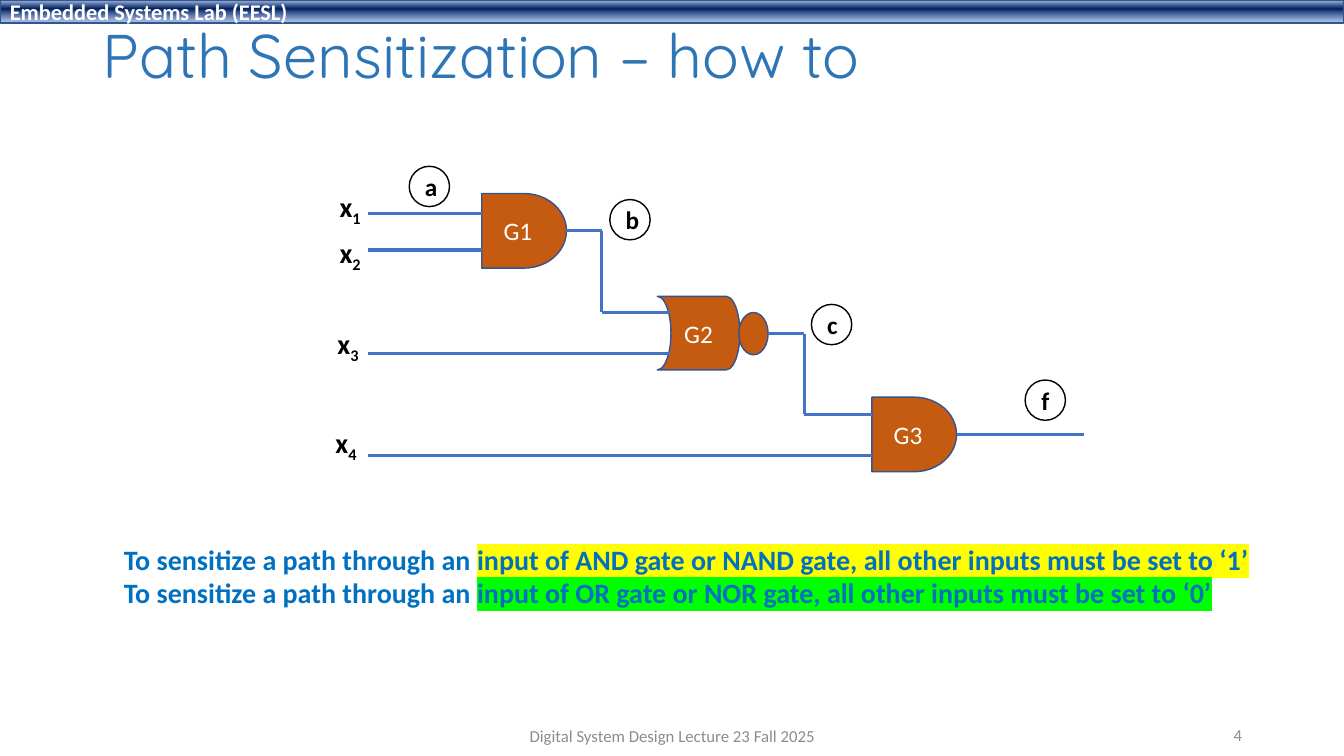
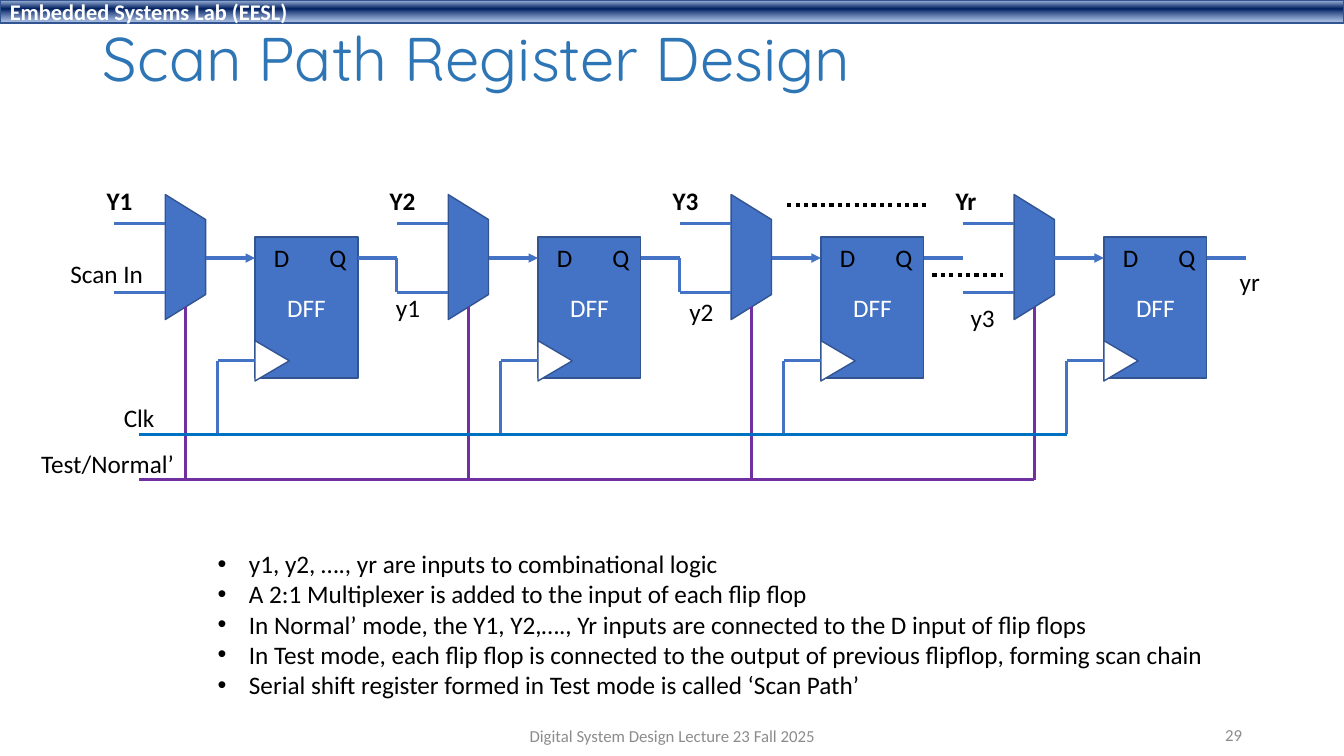
from dataclasses import dataclass
from itertools import pairwise
from typing import Any, Optional, Sequence

import lxml.etree
import pptx
import pptx.dml.color
import pptx.enum.dml
import pptx.enum.shapes
import pptx.enum.text
import pptx.oxml.ns
import pptx.util

COLUMNS, ROWS, CELL = 133.33, 75, 0.1
BLUE, OUTLINE, CLOCK, SELECT = "4472C4", "325491", "0070C0", "7030A0"
ORANGE, HEADING, GREY, BLACK, WHITE = "C55A11", "2E75B6", "8C8C8C", "000000", "FFFFFF"
FONT, TITLE_FONT = "Calibri", "Quicksand"
STAGE_LEFT, STAGE_PITCH, STAGES = 11.3, 28.07, 4
CLOCK_ROW, SELECT_ROW = 43.1, 47.6

Shape = pptx.enum.shapes.MSO_SHAPE
Align = pptx.enum.text.PP_ALIGN
Anchor = pptx.enum.text.MSO_ANCHOR
AutoSize = pptx.enum.text.MSO_AUTO_SIZE
Dash = pptx.enum.dml.MSO_LINE
qn = pptx.oxml.ns.qn


@dataclass(frozen=True)
class Box:
    column: float
    row: float
    columns: float
    rows: float

    def emu(self) -> list[int]:
        return [grid(n) for n in (self.column, self.row, self.columns, self.rows)]


@dataclass(frozen=True)
class Run:
    text: str
    size: float = 18
    color: str = BLACK
    bold: bool = False
    font: str = FONT
    subscript: bool = False
    highlight: Optional[str] = None


@dataclass(frozen=True)
class Label:
    text: str
    box: Box
    bold: bool = False


@dataclass(frozen=True)
class Part:
    kind: Any
    box: Box
    fill: Optional[str]
    text: Optional[Run] = None
    line: str = OUTLINE
    rotation: float = 0
    mirrored: bool = False


@dataclass(frozen=True)
class Wire:
    points: Sequence[tuple[float, float]]
    color: str = BLUE
    width: float = 2.25
    dash: Any = None
    arrow: bool = False


Lines = Sequence[Sequence[Run]]


def grid(cells: float) -> int:
    return pptx.util.Inches(cells * CELL)


def rgb(color: str) -> pptx.dml.color.RGBColor:
    return pptx.dml.color.RGBColor.from_string(color)


def add_color(parent: Any, color: str) -> Any:
    return lxml.etree.SubElement(parent, qn("a:srgbClr"), val=color)


def write(frame: Any, lines: Lines, align: Any = Align.LEFT) -> None:
    for index, runs in enumerate(lines):
        paragraph = frame.paragraphs[0] if index == 0 else frame.add_paragraph()
        paragraph.alignment = align
        for spec_run in runs:
            run = paragraph.add_run()
            run.text = spec_run.text
            run.font.size = pptx.util.Pt(spec_run.size)
            run.font.bold = spec_run.bold
            run.font.name = spec_run.font
            run.font.color.rgb = rgb(spec_run.color)
            properties = run.font.fill and run.element.find(qn("a:rPr"))if hasattr(run, "element") else run._r.rPr
            if spec_run.subscript:
                properties.set("baseline", "-25000")
            if spec_run.highlight:
                marker = lxml.etree.Element(qn("a:highlight"))
                add_color(marker, spec_run.highlight)
                properties.find(qn("a:solidFill")).addnext(marker)


def add_text(shapes: Any, box: Box, lines: Lines) -> None:
    frame = shapes.add_textbox(*box.emu()).text_frame
    frame.word_wrap = False
    frame.auto_size = AutoSize.SHAPE_TO_FIT_TEXT
    write(frame, lines)


def add_labels(shapes: Any, labels: Sequence[Label]) -> None:
    for label in labels:
        add_text(shapes, label.box, [[Run(label.text, bold=label.bold)]])


def add_part(shapes: Any, part: Part) -> Any:
    shape = shapes.add_shape(part.kind, *part.box.emu())
    shape.shadow.inherit = False
    shape.rotation = part.rotation
    if part.fill:
        shape.fill.solid()
        shape.fill.fore_color.rgb = rgb(part.fill)
    else:
        shape.fill.background()
    shape.line.color.rgb = rgb(part.line)
    shape.line.width = pptx.util.Pt(1)
    if part.mirrored:
        shape.element.spPr.xfrm.set("flipH", "1")
    if part.text:
        shape.text_frame.vertical_anchor = Anchor.MIDDLE
        write(shape.text_frame, [[part.text]], Align.CENTER)
    return shape


def add_wire(shapes: Any, wire: Wire) -> None:
    for start, end in pairwise(wire.points):
        segment = shapes.add_connector(
            pptx.enum.shapes.MSO_CONNECTOR.STRAIGHT, *[grid(n) for n in (*start, *end)])
        segment.line.color.rgb = rgb(wire.color)
        segment.line.width = pptx.util.Pt(wire.width)
        if wire.dash:
            segment.line.dash_style = wire.dash
        properties = segment.element.spPr
        if wire.arrow:
            lxml.etree.SubElement(properties.find(qn("a:ln")), qn("a:tailEnd"), type="triangle")
        lxml.etree.SubElement(properties, qn("a:effectLst"))


def add_master_band(deck: Any, slide: Any) -> None:
    band = add_part(slide.shapes, Part(Shape.RECTANGLE, Box(0, 0, COLUMNS, 2.3), BLUE))
    band.text_frame.vertical_anchor = Anchor.MIDDLE
    write(band.text_frame, [[Run("Embedded Systems Lab (EESL)", 16, WHITE, True)]])
    gradient = lxml.etree.Element(qn("a:gradFill"), rotWithShape="1")
    stops = lxml.etree.SubElement(gradient, qn("a:gsLst"))
    for share, color, opacity in ((2, "ABC0E4", 100), (38, "002060", 100), (93, "7E9ED6", 64)):
        stop = lxml.etree.SubElement(stops, qn("a:gs"), pos=str(share * 1000))
        tint = add_color(stop, color)
        if opacity < 100:
            lxml.etree.SubElement(tint, qn("a:alpha"), val=str(opacity * 1000))
    lxml.etree.SubElement(gradient, qn("a:lin"), ang="5400000", scaled="0")
    properties = band.element.spPr
    properties.replace(properties.find(qn("a:solidFill")), gradient)
    band.element.nvSpPr.cNvPr.set("id", "99")
    deck.slide_master.element.cSld.spTree.append(band.element)


def place(placeholder: Any, box: Box) -> Any:
    placeholder.left, placeholder.top, placeholder.width, placeholder.height = box.emu()
    frame = placeholder.text_frame
    frame.word_wrap = True
    frame.auto_size = AutoSize.NONE
    return frame


def add_slide(deck: Any, layout: int, heading: str, box: Box, number: int) -> Any:
    slide = deck.slides.add_slide(deck.slide_layouts[layout])
    title = place(slide.shapes.title, box)
    title.vertical_anchor = Anchor.MIDDLE
    write(title, [[Run(heading, 44, HEADING, font=TITLE_FONT)]])
    title.paragraphs[0].line_spacing = 0.9
    footers = (
        ("Digital System Design Lecture 23 Fall 2025", Box(44.2, 71, 45, 4), Align.CENTER),
        (str(number), Box(94.2, 70.9, 30, 4), Align.RIGHT),
    )
    for text, footer_box, align in footers:
        frame = slide.shapes.add_textbox(*footer_box.emu()).text_frame
        frame.word_wrap = True
        frame.vertical_anchor = Anchor.MIDDLE
        write(frame, [[Run(text, 12, GREY)]], align)
    return slide


def draw_sensitization(shapes: Any) -> None:
    gates = (
        Part(Shape.FLOWCHART_DELAY, Box(47.8, 19.2, 8.4, 7.4), ORANGE, Run("G1", color=WHITE)),
        Part(Shape.FLOWCHART_STORED_DATA, Box(65.2, 29.4, 8.2, 7.3), ORANGE,
             Run("G2", color=WHITE), mirrored=True),
        Part(Shape.OVAL, Box(73.3, 31, 2.9, 4.2), ORANGE),
        Part(Shape.FLOWCHART_DELAY, Box(86.5, 39.4, 8.4, 7.4), ORANGE, Run("G3", color=WHITE)),
    )
    nets = (("a", 40.6, 16.5), ("b", 60.5, 19.8), ("c", 80.5, 30.2), ("f", 101.7, 37.7))
    markers = tuple(Part(Shape.OVAL, Box(column, row, 4, 4), None, Run(net, bold=True), BLACK)
                    for net, column, row in nets)
    inputs = ((47.8, 21.2), (47.8, 24.8), (66.5, 35.1), (86.5, 45.2))
    paths = [((36.5, row), (end, row)) for end, row in inputs] + [
        ((56.2, 22.9), (59.7, 22.9), (59.7, 31), (66.5, 31)),
        ((76.2, 33.1), (79.8, 33.1), (79.8, 41.1), (86.5, 41.1)),
        ((94.9, 43.1), (107.5, 43.1)),
    ]
    for gate in gates:
        add_part(shapes, gate)
    for points in paths:
        add_wire(shapes, Wire(points))
    for marker in markers:
        add_part(shapes, marker)
    input_names = ((32.7, 18.3), (32.7, 22.9), (32.5, 31.9), (32.3, 41.7))
    for index, (column, row) in enumerate(input_names, 1):
        add_text(shapes, Box(column, row, 4.3, 4.4),
                 [[Run("x", 20, bold=True), Run(str(index), 20, bold=True, subscript=True)]])
    rules = (
        ("input of AND gate or NAND gate, all other inputs must be set to ‘1’", "FFFF00"),
        ("input of OR gate or NOR gate, all other inputs must be set to ‘0’", "00FF00"),
    )
    add_text(shapes, Box(11.3, 53.3, 114.4, 7.7), [
        [Run("To sensitize a path through an ", 20, CLOCK, True),
         Run(rule, 20, CLOCK, True, highlight=color)] for rule, color in rules])


def draw_stage(shapes: Any, left: float) -> None:
    add_part(shapes, Part(Shape.RECTANGLE, Box(left + 14, 23.5, 10.2, 14), BLUE,
                          Run("DFF", color=WHITE)))
    add_labels(shapes, [Label("D", Box(left + 14.9, 23.5, 3.6, 4)),
                        Label("Q", Box(left + 20.4, 23.5, 3.7, 4))])
    add_part(shapes, Part(Shape.FLOWCHART_MANUAL_OPERATION, Box(left + 0.9, 23.5, 12.4, 4),
                          BLUE, rotation=270))
    add_part(shapes, Part(Shape.ISOSCELES_TRIANGLE, Box(left + 13.7, 34.1, 4, 3.4),
                          WHITE, rotation=90))
    wires = (
        Wire(((left + 9.1, 25.6), (left + 14, 25.6)), arrow=True),
        Wire(((left, 29), (left + 5.1, 29))),
        Wire(((left, 22.2), (left + 5.1, 22.2))),
        Wire(((left + 14, 35.8), (left + 10.3, 35.8), (left + 10.3, CLOCK_ROW))),
        Wire(((left + 7.1, 30.5), (left + 7.1, SELECT_ROW)), SELECT),
        Wire(((left + 24.2, 25.6), (left + STAGE_PITCH, 25.6))),
    )
    for wire in wires:
        add_wire(shapes, wire)


def draw_scan_path(shapes: Any) -> None:
    lefts = [STAGE_LEFT + STAGE_PITCH * index for index in range(STAGES)]
    for left in lefts:
        draw_stage(shapes.add_group_shape().shapes, left)
    wires = [
        Wire(((13.8, SELECT_ROW), (lefts[-1] + 7.1, SELECT_ROW)), SELECT),
        Wire(((13.8, CLOCK_ROW), (lefts[-1] + 10.3, CLOCK_ROW)), CLOCK),
        *[Wire(((left, 25.6), (left, 29))) for left in lefts[1:3]],
        Wire(((92.5, 27.3), (99.5, 27.3)), BLACK, 3, Dash.ROUND_DOT),
        Wire(((78.1, 20.3), (91.9, 20.3)), BLACK, 3, Dash.ROUND_DOT),
    ]
    for wire in wires:
        add_wire(shapes, wire)
    add_labels(shapes, [Label(name, Box(left - 1.7, 17.9, 4.6, 4), True)
                        for name, left in zip(("Y1", "Y2", "Y3", "Yr"), lefts)])
    add_labels(shapes, [
        Label("Clk", Box(11.3, 39.4, 5.1, 4)),
        Label("Test/Normal’", Box(3.1, 44, 15.3, 4)),
        Label("Scan In", Box(6, 25.1, 9.3, 4)),
        Label("y1", Box(38.3, 28.5, 4.4, 4)),
        Label("y2", Box(67.4, 28.9, 4.4, 4)),
        Label("y3", Box(95.3, 29.5, 4.4, 4)),
        Label("yr", Box(122, 25.9, 4, 4)),
    ])


def write_scan_notes(body: Any) -> None:
    frame = place(body, Box(20.6, 53.9, 100.4, 16.2))
    write(frame, [[Run(text)] for text in (
        "y1, y2, …., yr are inputs to combinational logic",
        "A 2:1 Multiplexer is added to the input of each flip flop",
        "In Normal’ mode, the Y1, Y2,…., Yr inputs are connected to the D input of flip flops",
        "In Test mode, each flip flop is connected to the output of previous flipflop, "
        "forming scan chain",
        "Serial shift register formed in Test mode is called ‘Scan Path’",
    )])
    for paragraph in frame.paragraphs:
        paragraph.space_before = pptx.util.Pt(0)
        properties = paragraph._p.get_or_add_pPr()
        properties.set("marL", str(grid(3.1)))
        properties.set("indent", str(-grid(3.1)))
        lxml.etree.SubElement(properties, qn("a:buFont"), typeface="Arial")
        lxml.etree.SubElement(properties, qn("a:buChar"), char="•")


def main() -> None:
    deck = pptx.Presentation()
    deck.slide_width, deck.slide_height = grid(COLUMNS), grid(ROWS)
    sensitization = add_slide(deck, 5, "Path Sensitization – how to", Box(9.2, 0.9, 115, 9.9), 4)
    add_master_band(deck, sensitization)
    draw_sensitization(sensitization.shapes)
    scan_path = add_slide(deck, 1, "Scan Path Register Design", Box(9.2, 1.5, 115, 9.2), 29)
    draw_scan_path(scan_path.shapes)
    write_scan_notes(scan_path.placeholders[1])
    deck.save("out.pptx")


if __name__ == "__main__":
    main()
